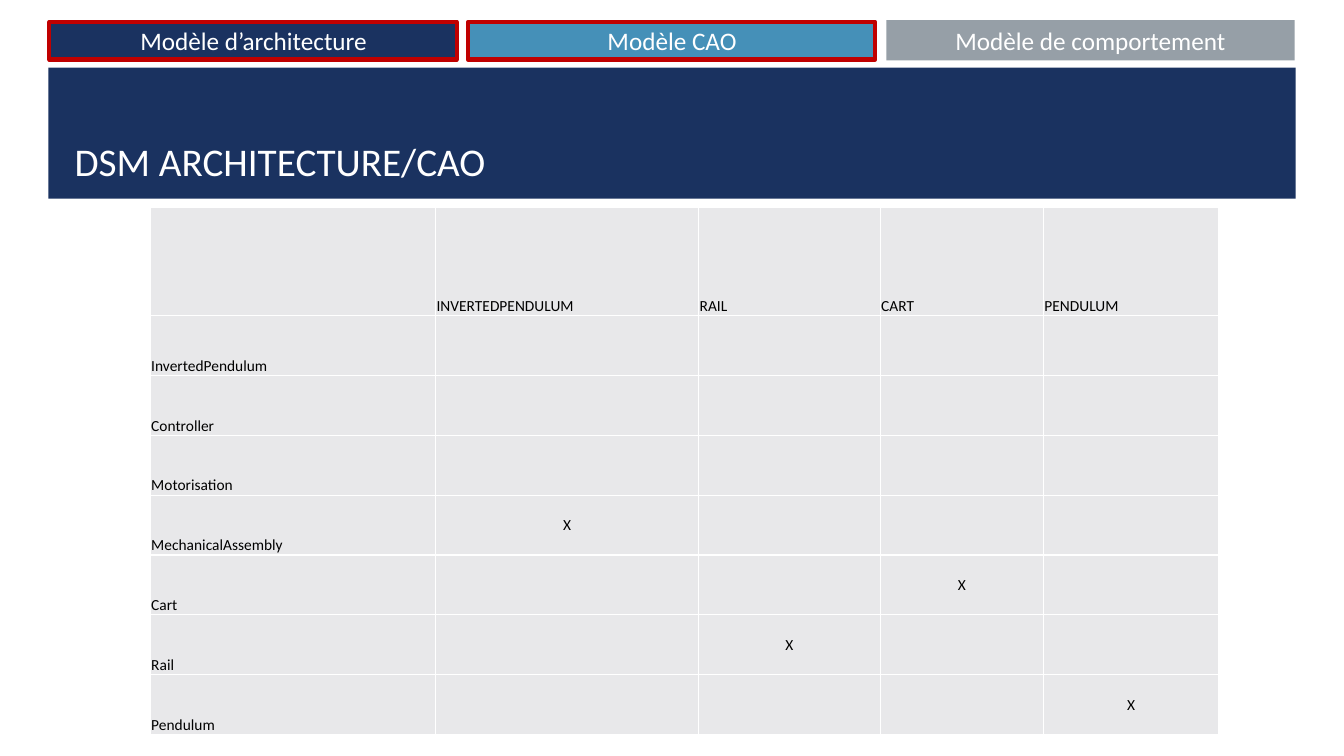
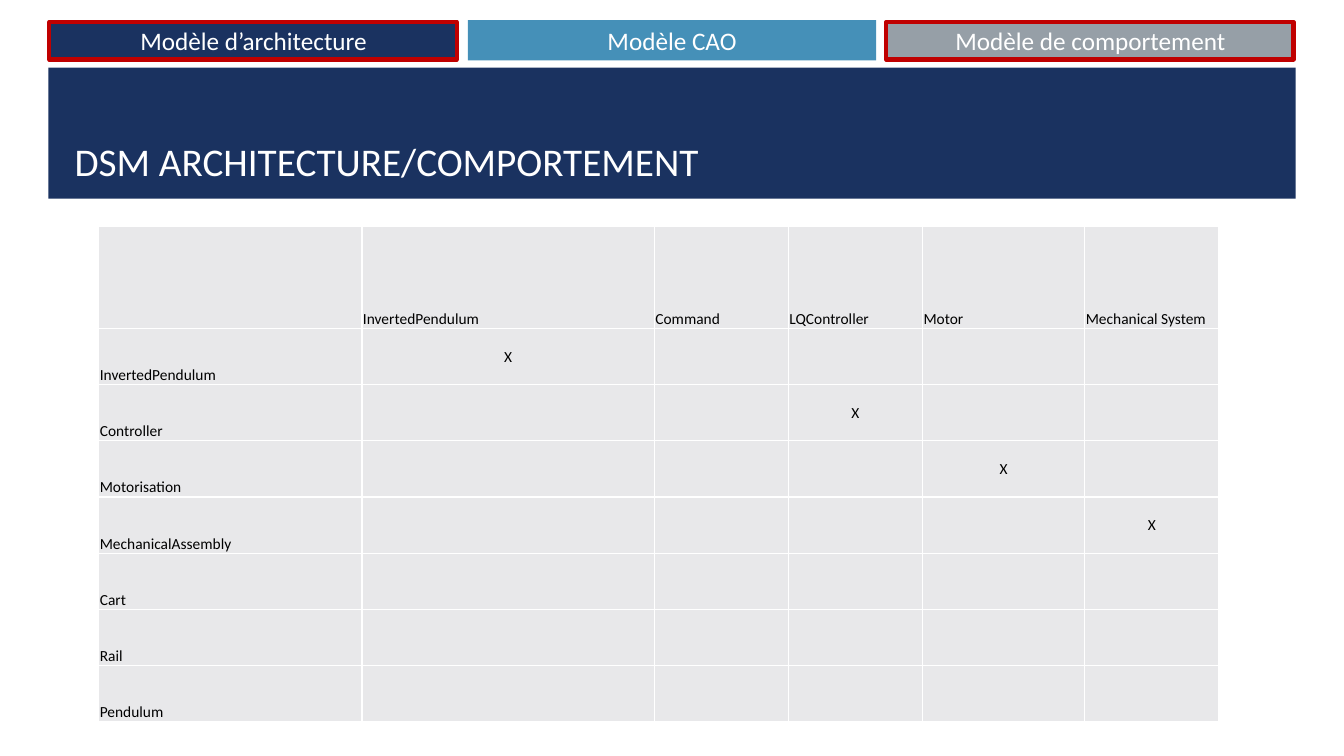
"""Build the two dependency matrices linking architecture, CAD and behaviour models."""
from dataclasses import dataclass
from typing import Any

from lxml import etree
from pptx import Presentation
from pptx import util as u
from pptx.dml import color
from pptx.enum import shapes, text
from pptx.oxml import ns

EMU_PER_PX = 9144
FONT = "Calibri"
NAVY, BLUE, GREY = "1A3260", "4590B8", "969FA7"
WHITE, BLACK, RED, CELL = "FFFFFF", "000000", "C00000", "E8E8EA"
TAB_LEFT, TAB_STEP = 49, 415


@dataclass(frozen=True)
class Box:
    """Rectangle in px, one hundred to the inch."""
    left: int
    top: int
    width: int
    height: int

    def emu(self) -> tuple[u.Emu, ...]:
        """Return the four lengths in EMU."""
        return tuple(px(side) for side in (self.left, self.top, self.width, self.height))


@dataclass(frozen=True)
class Tab:
    """Model name in the strip above the title."""
    label: str
    fill: str


@dataclass(frozen=True)
class Matrix:
    """One slide: its title, framed tabs, columns and crosses by component."""
    title: str
    framed: tuple[int, ...]
    left: int
    top: int
    height: int
    header_height: int
    widths: tuple[int, ...]
    headings: tuple[str, ...]
    crosses: dict[str, str]


TABS = (
    Tab("Modèle d’architecture", NAVY),
    Tab("Modèle CAO", BLUE),
    Tab("Modèle de comportement", GREY),
)
TITLE_BAND = Box(48, 67, 1237, 130)
TITLE_AREA = Box(64, 77, 1206, 111)
COMPONENTS = ("InvertedPendulum", "Controller", "Motorisation", "MechanicalAssembly",
              "Cart", "Rail", "Pendulum")
MATRICES = (
    Matrix("DSM ARCHITECTURE/CAO", (0, 1), 149, 206, 523, 107,
           (283, 261, 180, 162, 174),
           ("INVERTEDPENDULUM", "RAIL", "CART", "PENDULUM"),
           {"MechanicalAssembly": "INVERTEDPENDULUM", "Cart": "CART",
            "Rail": "RAIL", "Pendulum": "PENDULUM"}),
    Matrix("DSM ARCHITECTURE/COMPORTEMENT", (0, 2), 98, 225, 491, 101,
           (261, 290, 133, 133, 161, 133),
           ("InvertedPendulum", "Command", "LQController", "Motor", "Mechanical System"),
           {"InvertedPendulum": "InvertedPendulum", "Controller": "LQController",
            "Motorisation": "Motor", "MechanicalAssembly": "Mechanical System"}),
)


def px(length: float) -> u.Emu:
    """Turn px into EMU."""
    return u.Emu(round(length * EMU_PER_PX))


def rgb(code: str) -> color.RGBColor:
    """Turn a hex string into a colour."""
    return color.RGBColor.from_string(code)


def apply(target: Any, values: dict[str, Any]) -> None:
    """Set each named attribute on the target."""
    for name, value in values.items():
        setattr(target, name, value)


def write(frame: Any, words: str, size: int, ink: str, align: text.PP_ALIGN) -> None:
    """Put one formatted paragraph into a text frame."""
    paragraph = frame.paragraphs[0]
    paragraph.alignment = align
    run = paragraph.add_run()
    run.text = words
    apply(run.font, {"name": FONT, "size": u.Pt(size), "bold": False})
    run.font.color.rgb = rgb(ink)


def add_rectangle(slide: Any, box: Box, fill: str | None = None, line: str | None = None) -> Any:
    """Draw a flat rectangle with an optional fill and outline."""
    rectangle = slide.shapes.add_shape(shapes.MSO_SHAPE.RECTANGLE, *box.emu())
    rectangle.shadow.inherit = False
    if fill:
        rectangle.fill.solid()
        rectangle.fill.fore_color.rgb = rgb(fill)
    else:
        rectangle.fill.background()
    if line:
        rectangle.line.color.rgb = rgb(line)
        rectangle.line.width = u.Pt(3)
    else:
        rectangle.line.fill.background()
    return rectangle


def add_header(slide: Any, matrix: Matrix) -> None:
    """Draw the tabs, the title band, the title and the red frames."""
    for index, tab in enumerate(TABS):
        label = add_rectangle(slide, Box(TAB_LEFT + index * TAB_STEP, 20, 405, 40), tab.fill)
        label.text_frame.vertical_anchor = text.MSO_ANCHOR.MIDDLE
        write(label.text_frame, tab.label, 18, WHITE, text.PP_ALIGN.CENTER)
    add_rectangle(slide, TITLE_BAND, NAVY)

    title = slide.shapes.title
    slide.shapes._spTree.append(title._element)
    apply(title, dict(zip(("left", "top", "width", "height"), TITLE_AREA.emu())))
    apply(title.text_frame, {"vertical_anchor": text.MSO_ANCHOR.BOTTOM,
                             "auto_size": text.MSO_AUTO_SIZE.NONE, "word_wrap": True})
    write(title.text_frame, matrix.title, 28, WHITE, text.PP_ALIGN.LEFT)

    for index in matrix.framed:
        add_rectangle(slide, Box(TAB_LEFT + index * TAB_STEP, 22, 404, 37), line=RED)


def add_borders(cell: Any) -> None:
    """Give a cell thin white borders on its four sides."""
    properties = cell._tc.get_or_add_tcPr()
    for position, side in enumerate(("lnL", "lnR", "lnT", "lnB")):
        border = etree.Element(ns.qn(f"a:{side}"), w=str(u.Pt(1)))
        fill = etree.SubElement(border, ns.qn("a:solidFill"))
        etree.SubElement(fill, ns.qn("a:srgbClr"), val=WHITE)
        properties.insert(position, border)


def fill_cell(cell: Any, words: str, crossed: bool) -> None:
    """Format one cell and write its heading or cross."""
    anchor = text.MSO_ANCHOR.MIDDLE if crossed else text.MSO_ANCHOR.BOTTOM
    apply(cell, {"margin_left": px(1), "margin_right": px(1), "margin_top": px(1),
                 "margin_bottom": 0, "vertical_anchor": anchor})
    cell.fill.solid()
    cell.fill.fore_color.rgb = rgb(CELL)
    add_borders(cell)
    if words:
        align = text.PP_ALIGN.CENTER if crossed else text.PP_ALIGN.LEFT
        write(cell.text_frame, words, 11, BLACK, align)


def add_matrix(slide: Any, matrix: Matrix) -> None:
    """Draw the dependency table of one slide."""
    box = Box(matrix.left, matrix.top, sum(matrix.widths), matrix.height)
    rows = [("", *matrix.headings)]
    for component in COMPONENTS:
        marks = ("X" if matrix.crosses.get(component) == heading else ""
                 for heading in matrix.headings)
        rows.append((component, *marks))

    table = slide.shapes.add_table(len(rows), len(matrix.widths), *box.emu()).table
    apply(table, {"first_row": False, "horz_banding": False})
    for column, width in zip(table.columns, matrix.widths):
        column.width = px(width)
    body_height = (matrix.height - matrix.header_height) / len(COMPONENTS)
    for row_index, row in enumerate(rows):
        table.rows[row_index].height = px(body_height if row_index else matrix.header_height)
        for column_index, words in enumerate(row):
            crossed = row_index > 0 and column_index > 0
            fill_cell(table.cell(row_index, column_index), words, crossed)


def main() -> None:
    """Build and save the presentation."""
    deck = Presentation()
    apply(deck, {"slide_width": px(1333), "slide_height": px(750)})
    title_only = deck.slide_layouts.get_by_name("Title Only")
    for matrix in MATRICES:
        slide = deck.slides.add_slide(title_only)
        add_header(slide, matrix)
        add_matrix(slide, matrix)
    deck.save("out.pptx")


if __name__ == "__main__":
    main()
